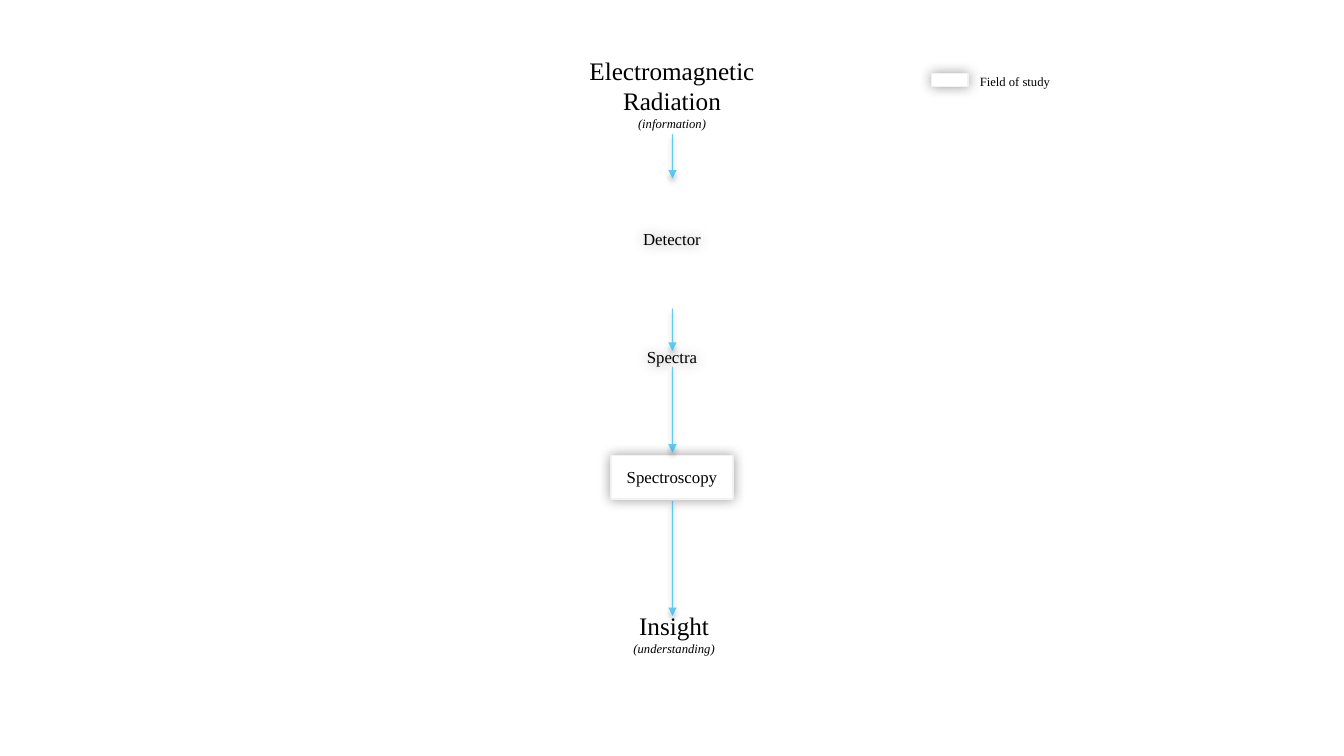
from lxml import etree
from pptx import Presentation
from pptx.dml.color import RGBColor
from pptx.enum.shapes import MSO_CONNECTOR as Connector, MSO_SHAPE as Shape
from pptx.enum.text import MSO_ANCHOR as Anchor, MSO_AUTO_SIZE as AutoSize, PP_ALIGN as Align
from pptx.oxml.ns import qn
from pptx.util import Inches, Pt

BLACK = RGBColor(0x00, 0x00, 0x00)
WHITE = RGBColor(0xFF, 0xFF, 0xFF)
PALE_GREY = RGBColor(0xF2, 0xF2, 0xF2)
SKY_BLUE = RGBColor(0x00, 0xB0, 0xF0)
FONT = "Times New Roman"

# Formats of the text levels
HEADING = {"size": Pt(18)}
STAGE = {"size": Pt(12)}
NOTE = {"size": Pt(9), "italic": True}
KEY = {"size": Pt(9)}

# Shadows: blur and distance in points, direction in degrees
GLOW = {"blur": 9, "distance": 0, "direction": 0}
DROP = {"blur": 4, "distance": 3, "direction": 90}

# Content: left, top, width, height in inches, then lines of text
LABELS = [
    ((5.62, 0.5, 2.09, 0.86),
     [("Electromagnetic Radiation", HEADING), ("(information)", NOTE)]),
    ((5.64, 6.01, 2.09, 0.56), [("Insight", HEADING), ("(understanding)", NOTE)]),
    ((9.02, 0.68, 2.09, 0.25), [("Field of study", KEY)]),
]
STAGE_LEFT, STAGE_WIDTH, STAGE_HEIGHT = 6.06, 1.21, 0.43
STAGES = [("Detector", 2.15, False), ("Spectra", 3.33, False), ("Spectroscopy", 4.52, True)]
KEY_SWATCH = (9.24, 0.73, 0.36, 0.13)
FLOW_X = 6.67
ARROWS = [(1.33, 1.77), (3.06, 3.48), (3.64, 4.49), (4.97, 6.11)]

deck = Presentation()
deck.slide_width, deck.slide_height = Inches(13.33), Inches(7.5)
page = deck.slides.add_slide(deck.slide_layouts[6])


def add_shadow(shape, blur, distance, direction):
    properties = shape._element.spPr
    for old in properties.findall(qn("a:effectLst")):
        properties.remove(old)
    effects = etree.SubElement(properties, qn("a:effectLst"))
    shadow = etree.SubElement(effects, qn("a:outerShdw"), blurRad=str(Pt(blur)),
                              dist=str(Pt(distance)), dir=str(direction * 60000),
                              algn="ctr", rotWithShape="0")
    color = etree.SubElement(shadow, qn("a:srgbClr"), val=str(BLACK))
    etree.SubElement(color, qn("a:alpha"), val="40000")


def write(box, lines, anchor=Anchor.TOP, auto_size=AutoSize.NONE):
    frame = box.text_frame
    frame.word_wrap = True
    frame.vertical_anchor = anchor
    frame.auto_size = auto_size
    for index, (text, formats) in enumerate(lines):
        para = frame.add_paragraph() if index else frame.paragraphs[0]
        para.alignment = Align.CENTER
        span = para.add_run()
        span.text = text
        span.font.color.rgb = BLACK
        for name, value in {"name": FONT, **formats}.items():
            setattr(span.font, name, value)


def add_field(place):
    field = page.shapes.add_shape(Shape.RECTANGLE, *map(Inches, place))
    field.fill.solid()
    field.fill.fore_color.rgb = WHITE
    field.line.color.rgb = PALE_GREY
    field.line.width = Pt(1)
    return field


def add_arrow(top, bottom):
    arrow = page.shapes.add_connector(Connector.STRAIGHT, Inches(FLOW_X), Inches(top),
                                      Inches(FLOW_X), Inches(bottom))
    arrow.line.color.rgb = SKY_BLUE
    arrow.line.width = Pt(1)
    outline = arrow.line._get_or_add_ln()
    color = outline.find(".//" + qn("a:srgbClr"))
    etree.SubElement(color, qn("a:alpha"), val="60000")
    etree.SubElement(outline, qn("a:tailEnd"), type="triangle")
    add_shadow(arrow, **DROP)


# Headings at both ends and the key's label
for place, lines in LABELS:
    write(page.shapes.add_textbox(*map(Inches, place)), lines,
          auto_size=AutoSize.SHAPE_TO_FIT_TEXT)

# Stages of the flow; fields of study are framed
for text, top, is_field in STAGES:
    place = (STAGE_LEFT, top, STAGE_WIDTH, STAGE_HEIGHT)
    box = add_field(place) if is_field else page.shapes.add_textbox(*map(Inches, place))
    add_shadow(box, **GLOW)
    write(box, [(text, STAGE)], anchor=Anchor.MIDDLE)

# Key swatch
add_shadow(add_field(KEY_SWATCH), **GLOW)

# Arrows down the flow
for top, bottom in ARROWS:
    add_arrow(top, bottom)

deck.save("out.pptx")
